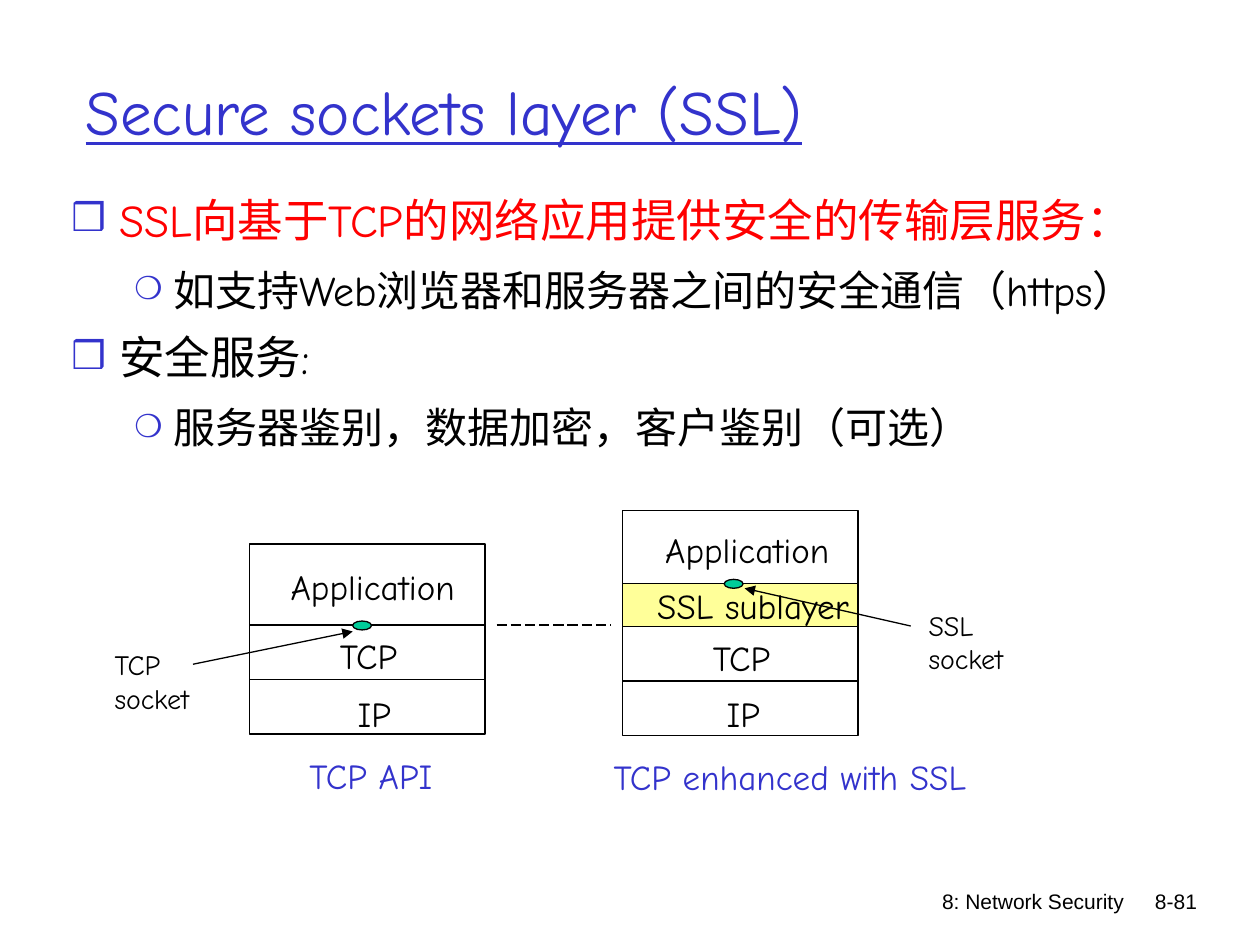
from itertools import accumulate
from typing import NamedTuple, Optional

from lxml import etree
from pptx import Presentation
from pptx.dml.color import RGBColor
from pptx.enum.dml import MSO_LINE
from pptx.enum.shapes import MSO_CONNECTOR, MSO_SHAPE
from pptx.enum.text import MSO_ANCHOR, PP_ALIGN
from pptx.oxml.ns import qn
from pptx.util import Cm, Pt

LEFT, RIGHT = PP_ALIGN.LEFT, PP_ALIGN.RIGHT
MIDDLE = MSO_ANCHOR.MIDDLE
RECTANGLE, OVAL = MSO_SHAPE.RECTANGLE, MSO_SHAPE.OVAL
STRAIGHT = MSO_CONNECTOR.STRAIGHT
LONG_DASH = MSO_LINE.LONG_DASH

BLACK = RGBColor(0x00, 0x00, 0x00)
BLUE = RGBColor(0x33, 0x33, 0xCC)
RED = RGBColor(0xFF, 0x00, 0x00)
YELLOW = RGBColor(0xFF, 0xFF, 0x99)
GREEN = RGBColor(0x00, 0xCC, 0x99)

HAND_FONT, FOOTER_FONT = "Comic Neue", "Arial"
LINE_WIDTH = Pt(0.75)
STACK_WIDTH = 4.75


class Bullet(NamedTuple):
    text: str
    level: int
    size: int
    color: RGBColor
    space_before: float


class BulletStyle(NamedTuple):
    character: str
    percent: int
    margin: float
    hanging: float


class Label(NamedTuple):
    lines: tuple[str, ...]
    left: float
    top: float
    width: float
    height: float = 1.12
    size: int = 20
    color: RGBColor = BLACK
    font: str = HAND_FONT
    align: PP_ALIGN = LEFT
    wrap: bool = False


class Layer(NamedTuple):
    height: float
    label: Label
    fill: Optional[RGBColor] = None


class Stack(NamedTuple):
    left: float
    top: float
    layers: tuple[Layer, ...]


class Line(NamedTuple):
    start: tuple[float, float]
    end: tuple[float, float]
    arrow: bool = True


BULLET_STYLES = (BulletStyle("❒", 85, 0.96, 0.96), BulletStyle("❍", 75, 2.06, 0.79))

BULLETS = (
    Bullet("SSL向基于TCP的网络应用提供安全的传输层服务：", 0, 26, RED, 0),
    Bullet("如支持Web浏览器和服务器之间的安全通信（https）", 1, 24, BLACK, 6),
    Bullet("安全服务:", 0, 26, BLACK, 6.5),
    Bullet("服务器鉴别，数据加密，客户鉴别（可选）", 1, 24, BLACK, 6),
)

STACKS = (
    Stack(5.03, 10.97, (
        Layer(1.63, Label(("Application",), 5.61, 11.28, 3.81)),
        Layer(1.1, Label(("TCP",), 6.6, 12.67, 1.8)),
        Layer(1.1, Label(("IP",), 6.96, 13.84, 1.5)),
    )),
    Stack(12.55, 10.29, (
        Layer(1.48, Label(("Application",), 13.16, 10.52, 3.81)),
        Layer(0.86, Label(("SSL sublayer",), 13, 11.66, 4.37), YELLOW),
        Layer(1.1, Label(("TCP",), 14.12, 12.7, 1.8)),
        Layer(1.1, Label(("IP",), 14.4, 13.84, 1.5)),
    )),
)

LABELS = (
    Label(("TCP API",), 5.99, 15.09, 3.2, color=BLUE),
    Label(("TCP enhanced with SSL",), 12.12, 15.11, 7.65, color=BLUE),
    Label(("TCP", "socket"), 2.06, 12.93, 2.9, 1.63, 16, wrap=True),
    Label(("SSL", "socket"), 18.47, 12.14, 2.1, 1.63, 16),
    Label(("8: Network Security",), 14.86, 17.78, 8.05, 1.27, 12,
          font=FOOTER_FONT, align=RIGHT, wrap=True),
    Label(("8-81",), 22.35, 17.78, 2.03, 0.81, 12,
          font=FOOTER_FONT, align=RIGHT, wrap=True),
)

SOCKETS = ((7.11, 12.52), (14.6, 11.68))

LINES = (
    Line((3.89, 13.39), (7.11, 12.73)),
    Line((18.36, 12.62), (15.01, 11.86)),
    Line((10.01, 12.6), (12.32, 12.6), arrow=False),
)


def add_run(paragraph, text: str, size: int, color: RGBColor, font: str = HAND_FONT):
    run = paragraph.add_run()
    run.text = text
    run.font.size = Pt(size)
    run.font.name = font
    run.font.color.rgb = color
    return run


def add_label(slide, label: Label) -> None:
    box = slide.shapes.add_textbox(
        Cm(label.left), Cm(label.top), Cm(label.width), Cm(label.height))
    frame = box.text_frame
    frame.word_wrap = label.wrap
    for index, text in enumerate(label.lines):
        paragraph = frame.add_paragraph() if index else frame.paragraphs[0]
        paragraph.alignment = label.align
        add_run(paragraph, text, label.size, label.color, label.font)


def add_outlined(slide, kind: MSO_SHAPE, left: float, top: float, width: float,
                 height: float, fill: Optional[RGBColor]) -> None:
    shape = slide.shapes.add_shape(kind, Cm(left), Cm(top), Cm(width), Cm(height))
    shape.shadow.inherit = False
    if fill is None:
        shape.fill.background()
    else:
        shape.fill.solid()
        shape.fill.fore_color.rgb = fill
    shape.line.color.rgb = BLACK
    shape.line.width = LINE_WIDTH


def add_stack(slide, stack: Stack) -> None:
    tops = accumulate((layer.height for layer in stack.layers), initial=stack.top)
    for layer, top in zip(stack.layers, tops):
        add_outlined(slide, RECTANGLE, stack.left, top, STACK_WIDTH,
                     layer.height, layer.fill)
        add_label(slide, layer.label)


def add_line(slide, line: Line) -> None:
    """Draw a solid arrow, or a dashed line when it has no arrowhead."""
    connector = slide.shapes.add_connector(
        STRAIGHT, *(Cm(value) for value in line.start + line.end))
    connector.line.color.rgb = BLACK
    connector.line.width = LINE_WIDTH
    if line.arrow:
        etree.SubElement(connector.line._get_or_add_ln(), qn("a:tailEnd"), type="triangle")
    else:
        connector.line.dash_style = LONG_DASH
    etree.SubElement(connector._element.spPr, qn("a:effectLst"))


def format_bullet(paragraph, style: BulletStyle) -> None:
    properties = paragraph._p.get_or_add_pPr()
    properties.set("marL", str(Cm(style.margin)))
    properties.set("indent", str(-Cm(style.hanging)))
    color = etree.SubElement(properties, qn("a:buClr"))
    etree.SubElement(color, qn("a:srgbClr"), val=str(BLUE))
    etree.SubElement(properties, qn("a:buSzPct"), val=str(style.percent * 1000))
    etree.SubElement(properties, qn("a:buFont"), typeface=HAND_FONT)
    etree.SubElement(properties, qn("a:buChar"), char=style.character)


def add_bullets(slide) -> None:
    frame = slide.shapes.add_textbox(Cm(1.19), Cm(3.68), Cm(23.42), Cm(5.61)).text_frame
    frame.word_wrap = True
    for index, bullet in enumerate(BULLETS):
        paragraph = frame.add_paragraph() if index else frame.paragraphs[0]
        paragraph.level = bullet.level
        format_bullet(paragraph, BULLET_STYLES[bullet.level])
        paragraph.line_spacing = Pt(33)
        paragraph.space_before = Pt(bullet.space_before)
        add_run(paragraph, bullet.text, bullet.size, bullet.color)


def format_title(title) -> None:
    title.left, title.top, title.width, title.height = Cm(1.47), Cm(0.64), Cm(21.59), Cm(3.18)
    title.text_frame.vertical_anchor = MIDDLE
    paragraph = title.text_frame.paragraphs[0]
    paragraph.alignment = LEFT
    add_run(paragraph, "Secure sockets layer (SSL)", 36, BLUE).font.underline = True


def main() -> None:
    presentation = Presentation()
    presentation.slide_width, presentation.slide_height = Cm(25.4), Cm(19.05)
    slide = presentation.slides.add_slide(presentation.slide_layouts.get_by_name("Title Only"))
    format_title(slide.shapes.title)
    add_bullets(slide)
    for stack in STACKS:
        add_stack(slide, stack)
    for label in LABELS:
        add_label(slide, label)
    for left, top in SOCKETS:
        add_outlined(slide, OVAL, left, top, 0.38, 0.18, GREEN)
    for line in LINES:
        add_line(slide, line)
    presentation.save("out.pptx")


if __name__ == "__main__":
    main()
